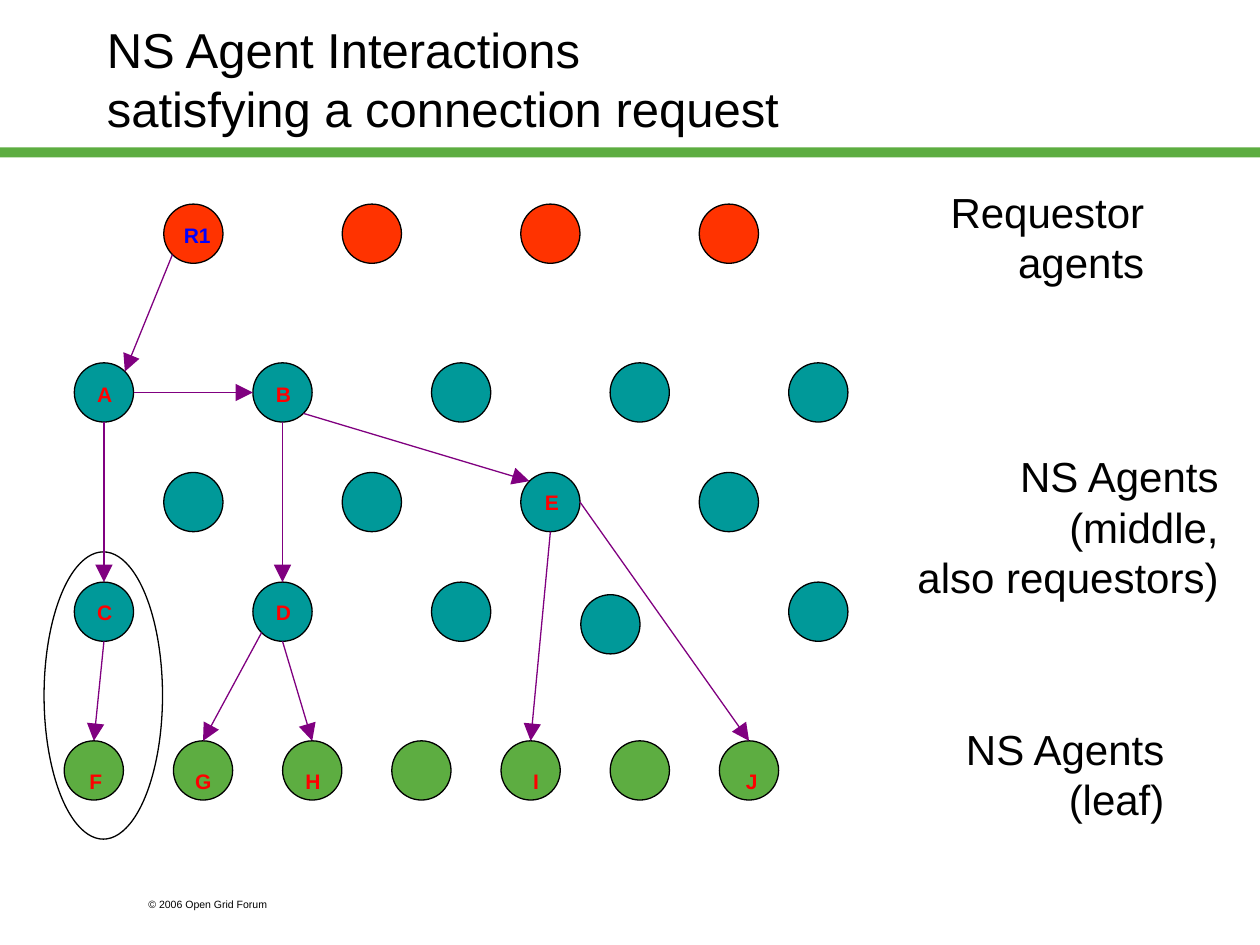
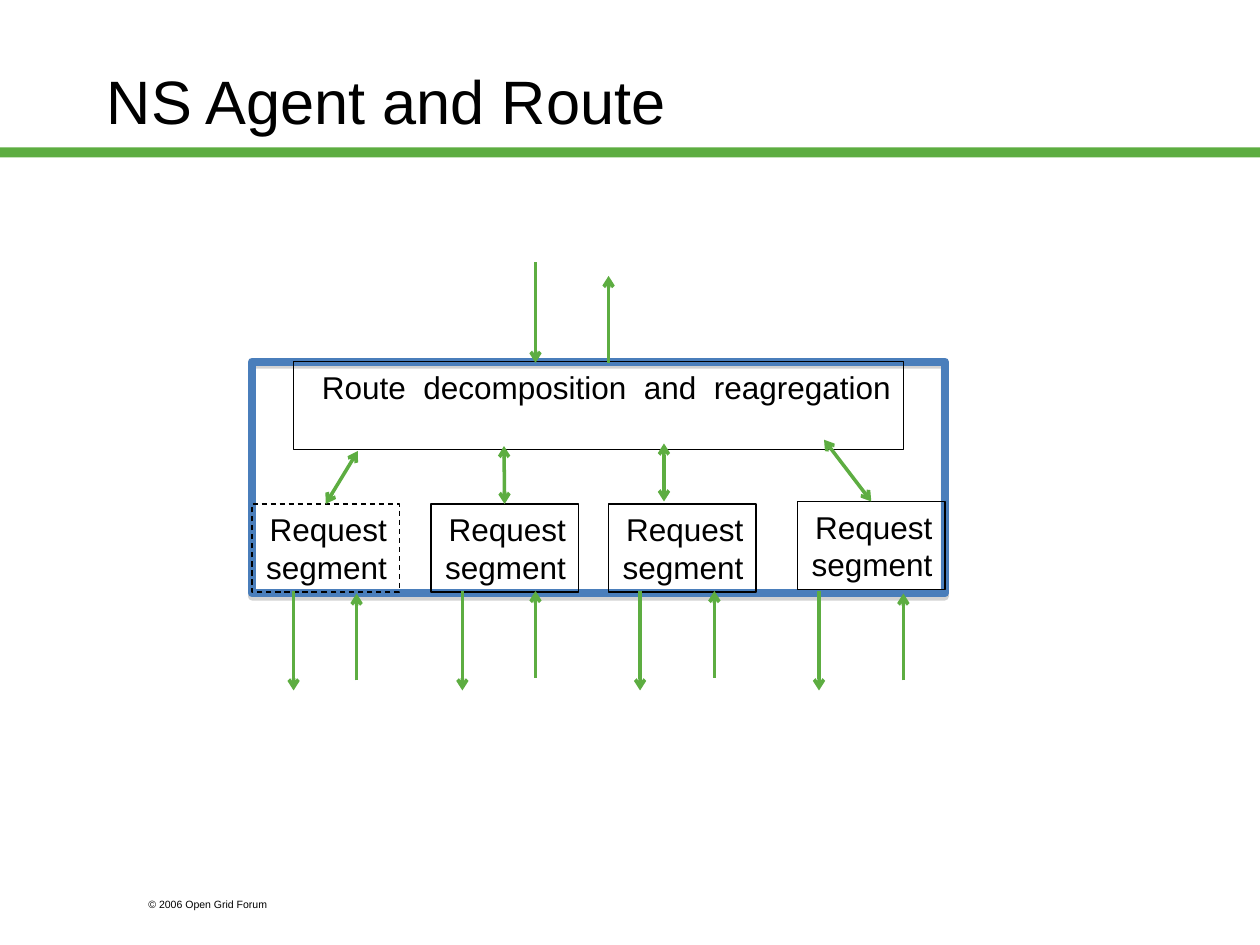
from dataclasses import dataclass
from math import sqrt

from pptx import Presentation
from pptx.dml.color import RGBColor
from pptx.enum.dml import MSO_LINE_DASH_STYLE as Dash
from pptx.enum.shapes import MSO_CONNECTOR as Connector, MSO_SHAPE as Shape
from pptx.enum.text import MSO_ANCHOR as Anchor, PP_ALIGN as Align
from pptx.oxml.ns import qn
from pptx.oxml.xmlchemy import OxmlElement
from pptx.util import Inches, Pt


@dataclass(frozen=True)
class Theme:
    font: str = "Arial"
    ink: str = "000000"
    paper: str = "FFFFFF"
    green: str = "5DAD41"
    teal: str = "009999"
    orange: str = "FF3300"
    purple: str = "800080"
    red: str = "FF0000"
    blue: str = "0000FF"
    frame: str = "4A7EBB"
    shadow: str = "808080"
    wide_title: int = 35
    long_title: int = 28
    caption: int = 24
    box: int = 18
    label: int = 12
    footer: int = 6
    thin: float = 0.75
    flow: float = 2
    heavy: float = 4.5


THEME = Theme()
NODE = 0.47
DIAGONAL = sqrt(0.5)
SITES = {
    "top": (0, -1), "left": (-1, 0), "bottom": (0, 1), "right": (1, 0),
    "top left": (-DIAGONAL, -DIAGONAL), "top right": (DIAGONAL, -DIAGONAL),
    "bottom left": (-DIAGONAL, DIAGONAL), "bottom right": (DIAGONAL, DIAGONAL),
}


def color(value):
    return RGBColor.from_string(value)


def spread(first, last, count):
    return [first + (last - first) * i / (count - 1) for i in range(count)]


def write(frame, lines, size, ink=THEME.ink, align=Align.LEFT, bold=False,
          anchor=Anchor.TOP, wrap=True):
    frame.word_wrap = wrap
    frame.vertical_anchor = anchor
    for i, line in enumerate(lines):
        paragraph = frame.paragraphs[0] if i == 0 else frame.add_paragraph()
        paragraph.text = line
        paragraph.alignment = align
        font = paragraph.font
        font.name, font.size, font.bold = THEME.font, Pt(size), bold
        font.color.rgb = color(ink)


def add_text(slide, at, lines, size, **style):
    box = slide.shapes.add_textbox(*map(Inches, at))
    write(box.text_frame, lines, size, **style)


def add_outline(slide, kind, at, fill=None, line=THEME.ink, width=THEME.thin):
    shape = slide.shapes.add_shape(kind, *map(Inches, at))
    shape.shadow.inherit = False
    if fill:
        shape.fill.solid()
        shape.fill.fore_color.rgb = color(fill)
    else:
        shape.fill.background()
    if line:
        shape.line.color.rgb = color(line)
        shape.line.width = Pt(width)
    else:
        shape.line.fill.background()
    return shape


def add_text_box(slide, at, text):
    box = add_outline(slide, Shape.RECTANGLE, at)
    write(box.text_frame, [text], THEME.box, align=Align.RIGHT)
    return box


def add_arrow(slide, start, end, ink, width, tip, size="med", both=False):
    arrow = slide.shapes.add_connector(
        Connector.STRAIGHT, *map(Inches, (*start, *end)))
    arrow.line.color.rgb = color(ink)
    arrow.line.width = Pt(width)
    properties = arrow._element.spPr
    for tag in ("a:headEnd", "a:tailEnd") if both else ("a:tailEnd",):
        point = OxmlElement(tag)
        for key, value in (("type", tip), ("w", size), ("len", size)):
            point.set(key, value)
        properties.find(qn("a:ln")).append(point)
    properties.append(OxmlElement("a:effectLst"))
    return arrow


def add_flow(slide, start, end, both=False):
    return add_arrow(slide, start, end, THEME.green, THEME.flow, "arrow", both=both)


def drop_shadow(shape):
    shadow = OxmlElement("a:outerShdw")
    for key, value in (("blurRad", 0), ("dist", Pt(1.8)), ("dir", 90 * 60000),
                       ("rotWithShape", 0)):
        shadow.set(key, str(int(value)))
    tint, alpha = OxmlElement("a:srgbClr"), OxmlElement("a:alpha")
    tint.set("val", THEME.shadow)
    alpha.set("val", "35000")
    tint.append(alpha)
    shadow.append(tint)
    shape._element.spPr.find(qn("a:effectLst")).append(shadow)


def start_slide(deck, title, title_top, title_size):
    slide = deck.slides.add_slide(deck.slide_layouts[6])
    add_outline(slide, Shape.RECTANGLE, (0, 1.17, 10, 0.08), THEME.green, line=None)
    add_text(slide, (1.08, 7.08, 1.5, 0.2), ["© 2006 Open Grid Forum"], THEME.footer)
    add_text(slide, (0.75, title_top, 8.5, 1.25), [title], title_size,
             anchor=Anchor.MIDDLE)
    return slide


def site(node, name):
    dx, dy = SITES[name]
    return node[0] + NODE / 2 * (1 + dx), node[1] + NODE / 2 * (1 + dy)


def add_interactions(deck):
    slide = start_slide(deck, "NS Agent Interactions\vsatisfying a connection request",
                        0, THEME.long_title)

    # Ring around the C to F pair
    add_outline(slide, Shape.OVAL, (0.35, 4.38, 0.94, 2.28), THEME.paper)

    # Rows of agents: fill, top, lefts, labels, label drop
    wide, narrow = spread(0.59, 6.26, 5), spread(1.3, 5.55, 4)
    rows = [
        (THEME.orange, 1.62, narrow, ["R1"], 0.1),
        (THEME.teal, 2.88, wide, ["A", "B"], 0.1),
        (THEME.teal, 3.75, narrow, ["", "", "E"], 0.09),
        (THEME.teal, 4.62, wide[:3] + wide[4:], ["C", "D"], 0.09),
        (THEME.teal, 4.72, [4.61], [], 0),
        (THEME.green, 5.88, spread(0.51, 5.71, 7), ["F", "G", "H", "", "I", "", "J"], 0.17),
    ]
    nodes, labels = {}, []
    for fill, top, lefts, names, drop in rows:
        for i, left in enumerate(lefts):
            add_outline(slide, Shape.OVAL, (left, top, NODE, NODE), fill)
            if i < len(names) and names[i]:
                nodes[names[i]] = (left, top)
                labels.append((names[i], left, top + drop))

    # Captions of the rows
    for at, lines in [
        ((7.44, 1.43, 1.74, 0.9), ["Requestor", "agents"]),
        ((7.18, 3.53, 2.59, 1.3), ["NS Agents", "(middle,", "also requestors)"]),
        ((7.55, 5.69, 1.79, 0.9), ["NS Agents", "(leaf)"]),
    ]:
        add_text(slide, at, lines, THEME.caption, align=Align.RIGHT, wrap=False)

    # Requests passed between agents
    for source, leave, target, enter in [
        ("R1", "bottom left", "A", "top right"),
        ("A", "right", "B", "left"),
        ("A", "bottom", "C", "top"),
        ("B", "bottom right", "E", "top left"),
        ("B", "bottom", "D", "top"),
        ("E", "right", "J", "top"),
        ("E", "bottom", "I", "top"),
        ("C", "bottom", "F", "top"),
        ("D", "bottom left", "G", "top"),
        ("D", "bottom", "H", "top"),
    ]:
        add_arrow(slide, site(nodes[source], leave), site(nodes[target], enter),
                  THEME.purple, THEME.thin, "triangle", size="lg")

    # Agent labels
    for name, left, top in labels:
        requestor = name == "R1"
        shift, width = (-0.01, 0.48) if requestor else (0.07, 0.33)
        add_text(slide, (left + shift, top, width, 0.3), [name], THEME.label,
                 ink=THEME.blue if requestor else THEME.red,
                 align=Align.RIGHT, bold=True)


def add_route(deck):
    slide = start_slide(deck, "NS Agent and Route", 0.17, THEME.wide_title)

    # Agent frame and its route box
    agent = add_outline(slide, Shape.RECTANGLE, (2, 2.87, 5.5, 1.84),
                        line=THEME.frame, width=THEME.heavy)
    drop_shadow(agent)
    add_text_box(slide, (2.33, 2.87, 4.84, 0.7), "Route  decomposition  and  reagregation")

    # Request segments
    segments = [add_text_box(slide, (left, top, 1.17, 0.7), "Request segment")
                for left, top in [(2, 4), (3.42, 4), (4.83, 4), (6.33, 3.98)]]
    segments[0].line.dash_style = Dash.DASH

    # Request and reply above the agent
    add_flow(slide, (4.25, 2.08), (4.25, 2.88))
    add_flow(slide, (4.83, 2.88), (4.83, 2.19))

    # Requests and replies below the segments
    for request, reply, reply_top in [(2.33, 2.83, 4.71), (3.67, 4.25, 4.69),
                                      (5.08, 5.67, 4.69), (6.5, 7.17, 4.71)]:
        add_flow(slide, (request, 4.69), (request, 5.48))
        add_flow(slide, (reply, reply_top + 0.69), (reply, reply_top))

    # Exchanges between the route box and the segments
    for segment, start, end, joined in [
        (segments[0], (2.84, 3.58), (2.58, 4), True),
        (segments[1], (4, 3.54), (4, 4), True),
        (segments[2], (5.27, 3.52), (5.27, 3.98), False),
        (segments[3], (6.54, 3.49), (6.92, 3.98), True),
    ]:
        exchange = add_flow(slide, start, end, both=True)
        if joined:
            exchange.end_connect(segment, 0)


def main():
    deck = Presentation()
    deck.slide_width, deck.slide_height = Inches(10), Inches(7.5)
    add_interactions(deck)
    add_route(deck)
    deck.save("out.pptx")


if __name__ == "__main__":
    main()
